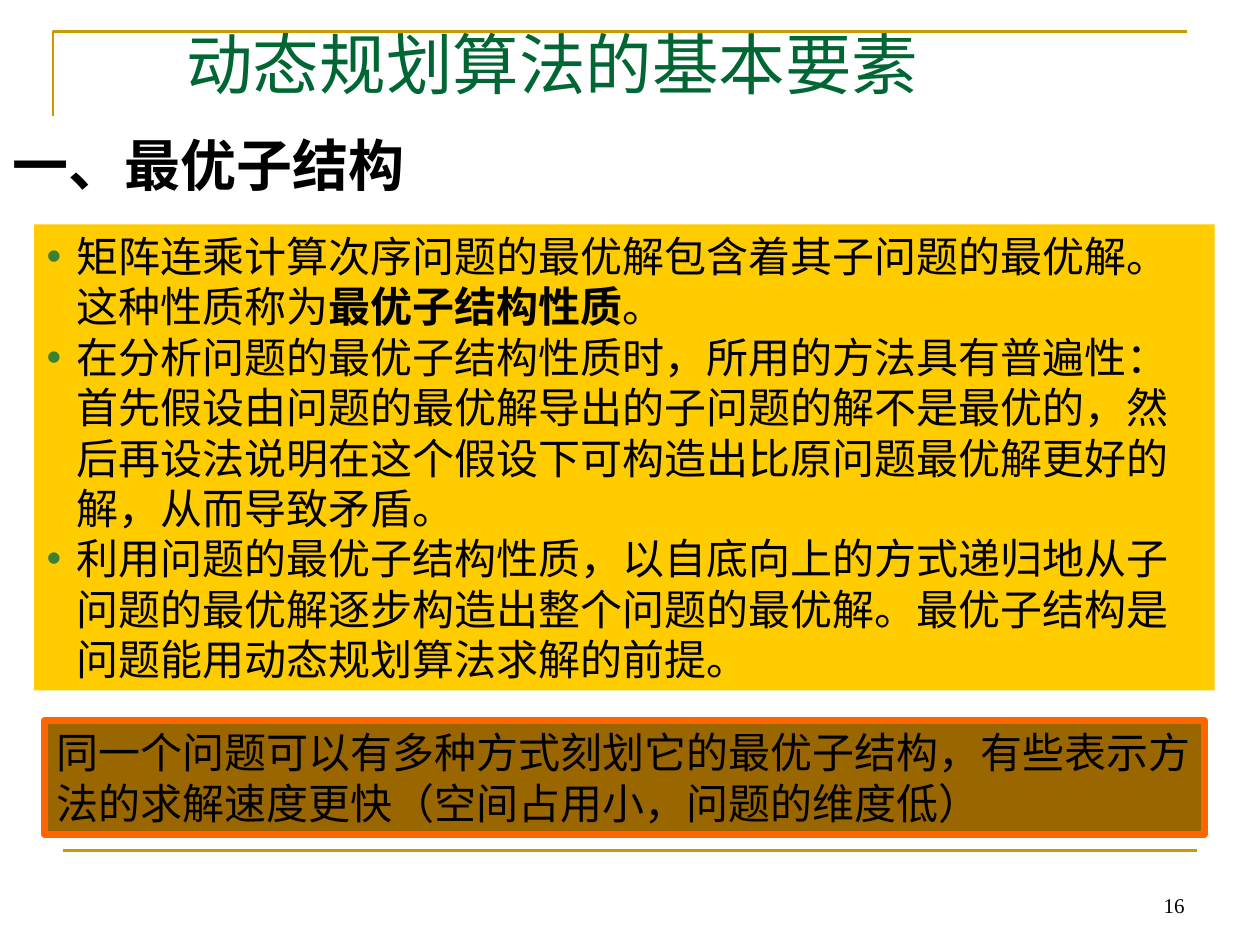
from dataclasses import dataclass

from lxml import etree
from pptx import Presentation
from pptx.dml.color import RGBColor
from pptx.enum.shapes import MSO_CONNECTOR, MSO_SHAPE
from pptx.enum.text import MSO_ANCHOR, MSO_AUTO_SIZE, PP_ALIGN
from pptx.oxml.ns import qn
from pptx.util import Inches, Pt

LEFT, MID, RIGHT = PP_ALIGN.LEFT, PP_ALIGN.CENTER, PP_ALIGN.RIGHT
TOP, BASE = MSO_ANCHOR.TOP, MSO_ANCHOR.BOTTOM
NO_FIT = MSO_AUTO_SIZE.NONE
RECT = MSO_SHAPE.RECTANGLE
STRAIGHT = MSO_CONNECTOR.STRAIGHT


@dataclass(frozen=True)
class Theme:
    serif: str = "Times New Roman"
    sans: str = "Arial"
    title: str = "006633"
    ink: str = "000000"
    rule: str = "CC9900"
    panel: str = "FFCC00"
    bullet: str = "3B812F"
    note: str = "996600"
    edge: str = "FF6600"
    title_size: float = 38
    head_size: float = 32
    text_size: float = 24
    page_size: float = 12


@dataclass(frozen=True)
class Block:
    text: str
    box: tuple[float, float, float, float]
    size: float
    font: str
    color: str = "000000"
    align: PP_ALIGN = LEFT
    anchor: MSO_ANCHOR = TOP
    bold: bool = False
    wrap: bool = True


THEME = Theme()
KEY = "最优子结构性质"
POINTS = [
    f"矩阵连乘计算次序问题的最优解包含着其子问题的最优解。这种性质称为{KEY}。",
    "在分析问题的最优子结构性质时，所用的方法具有普遍性：首先假设由问题的最优解导出的子问题的解不是最优的，"
    "然后再设法说明在这个假设下可构造出比原问题最优解更好的解，从而导致矛盾。",
    "利用问题的最优子结构性质，以自底向上的方式递归地从子问题的最优解逐步构造出整个问题的最优解。"
    "最优子结构是问题能用动态规划算法求解的前提。",
]
TITLE = Block("动态规划算法的基本要素", (1.38, 0, 7.01, 0.87), THEME.title_size,
              THEME.serif, THEME.title, anchor=BASE)
HEAD = Block("一、最优子结构", (0, 0.99, 3.31, 0.64), THEME.head_size,
             THEME.sans, align=MID, bold=True, wrap=False)
BODY = Block("\n".join(POINTS), (0.27, 1.78, 9.37, 3.7), THEME.text_size, THEME.sans)
NOTE = Block("同一个问题可以有多种方式刻划它的最优子结构，有些表示方法的求解速度更快（空间占用小，问题的维度低）",
             (0.35, 5.72, 9.21, 0.9), THEME.text_size, THEME.sans)
PAGE = Block("16", (7.17, 6.83, 2.33, 0.5), THEME.page_size, THEME.serif,
             align=RIGHT, anchor=BASE)


def style(run, block: Block, bold: bool) -> None:
    font = run.font
    font.name, font.size, font.bold = block.font, Pt(block.size), bold
    font.color.rgb = RGBColor.from_string(block.color)


def write(shape, block: Block) -> None:
    shape.left, shape.top, shape.width, shape.height = map(Inches, block.box)
    frame = shape.text_frame
    frame.text = block.text
    frame.auto_size = NO_FIT
    frame.word_wrap = block.wrap
    frame.vertical_anchor = block.anchor
    for para in frame.paragraphs:
        para.alignment = block.align
        para.space_before = Pt(0)
        for run in para.runs:
            style(run, block, block.bold)


def add_text(slide, block: Block) -> None:
    write(slide.shapes.add_textbox(*map(Inches, block.box)), block)


def paint(shape, color: str) -> None:
    shape.fill.solid()
    shape.fill.fore_color.rgb = RGBColor.from_string(color)


def stroke(shape, color: str, width: float) -> None:
    shape.line.color.rgb = RGBColor.from_string(color)
    shape.line.width = Pt(width)


def add_bullet(para) -> None:
    props = para._p.get_or_add_pPr()
    props.set("marL", str(Inches(0.24)))
    props.set("indent", str(-Inches(0.24)))
    tint = etree.SubElement(props, qn("a:buClr"))
    etree.SubElement(tint, qn("a:srgbClr"), val=THEME.bullet)
    etree.SubElement(props, qn("a:buFont"), typeface=THEME.sans)
    etree.SubElement(props, qn("a:buChar"), char="•")


def add_rules(slide) -> None:
    left, top = Inches(0.42), Inches(0.25)
    path = slide.shapes.build_freeform(left, Inches(0.92))
    path.add_line_segments([(left, top), (Inches(9.42), top)], close=False)
    frame = path.convert_to_shape()
    frame.fill.background()
    frame.shadow.inherit = False
    ends = map(Inches, (0.5, 6.75, 9.5, 6.75))
    foot = slide.shapes.add_connector(STRAIGHT, *ends)
    etree.SubElement(foot._element.spPr, qn("a:effectLst"))
    for rule in (frame, foot):
        stroke(rule, THEME.rule, 1.5)
    foot_props = foot._element.spPr
    foot_props.append(foot_props.find(qn("a:effectLst")))


def add_body(slide) -> None:
    body = slide.placeholders[1]
    write(body, BODY)
    paint(body, THEME.panel)
    for para in body.text_frame.paragraphs:
        add_bullet(para)
    first = body.text_frame.paragraphs[0]
    start, end = POINTS[0].split(KEY)
    first.runs[0].text = start
    for text, bold in ((KEY, True), (end, False)):
        run = first.add_run()
        run.text = text
        style(run, BODY, bold)


def add_note(slide) -> None:
    note = slide.shapes.add_shape(RECT, *map(Inches, NOTE.box))
    note.shadow.inherit = False
    paint(note, THEME.note)
    stroke(note, THEME.edge, 4)
    write(note, NOTE)


def main() -> None:
    deck = Presentation()
    deck.slide_width, deck.slide_height = Inches(10), Inches(7.5)
    slide = deck.slides.add_slide(deck.slide_layouts[1])
    add_rules(slide)
    write(slide.shapes.title, TITLE)
    add_text(slide, HEAD)
    add_body(slide)
    add_note(slide)
    add_text(slide, PAGE)
    deck.save("out.pptx")


if __name__ == "__main__":
    main()
